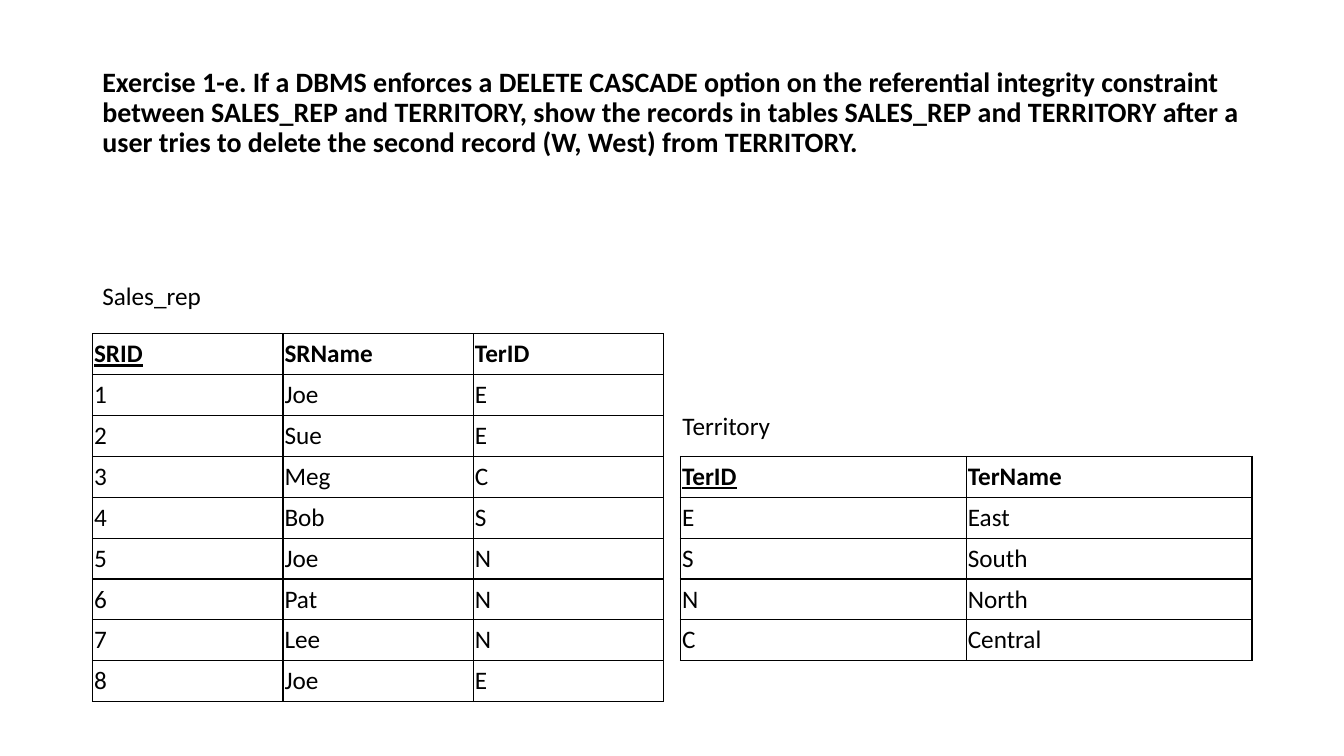
import pptx
import pptx.dml.color
import pptx.enum.text
import pptx.oxml
import pptx.oxml.ns
import pptx.util
from pptx.util import Cm

BLACK = pptx.dml.color.RGBColor(0, 0, 0)
MIDDLE = pptx.enum.text.MSO_ANCHOR.MIDDLE

QUESTION = (
    "Exercise 1-e. If a DBMS enforces a DELETE CASCADE option on the referential "
    "integrity constraint between SALES_REP and TERRITORY, show the records in tables "
    "SALES_REP and TERRITORY after a user tries to delete the second record (W, West) "
    "from TERRITORY."
)
SALES_REPS = [
    ("SRID", "SRName", "TerID"),
    ("1", "Joe", "E"),
    ("2", "Sue", "E"),
    ("3", "Meg", "C"),
    ("4", "Bob", "S"),
    ("5", "Joe", "N"),
    ("6", "Pat", "N"),
    ("7", "Lee", "N"),
    ("8", "Joe", "E"),
]
TERRITORIES = [
    ("TerID", "TerName"),
    ("E", "East"),
    ("S", "South"),
    ("N", "North"),
    ("C", "Central"),
]


class ExerciseSlide:
    font_name = "Calibri"
    body_size = 18
    title_size = 20
    table_width = Cm(14.4)
    row_height = Cm(1.03)
    cell_margin = Cm(0.04)
    border_width = pptx.util.Pt(1)

    def __init__(self, slide):
        self.slide = slide

    def style(self, paragraph, size, bold=False, underline=False):
        font = paragraph.font
        font.name = self.font_name
        font.size = pptx.util.Pt(size)
        font.bold = bold
        font.underline = underline
        font.color.rgb = BLACK

    def title(self, text, left, top, width, height):
        frame = self.slide.shapes.add_textbox(left, top, width, height).text_frame
        frame.word_wrap = True
        frame.vertical_anchor = MIDDLE
        frame.text = text
        frame.paragraphs[0].line_spacing = 0.9
        self.style(frame.paragraphs[0], self.title_size, bold=True)

    def caption(self, text, left, top, width):
        frame = self.slide.shapes.add_textbox(left, top, width, Cm(1.03)).text_frame
        frame.word_wrap = False
        frame.auto_size = pptx.enum.text.MSO_AUTO_SIZE.SHAPE_TO_FIT_TEXT
        frame.text = text
        self.style(frame.paragraphs[0], self.body_size)

    def relation(self, records, left, top):
        """Draw a table whose first row names the columns, with the key underlined."""
        table = self.slide.shapes.add_table(
            len(records), len(records[0]), left, top,
            self.table_width, self.row_height * len(records)).table
        table.first_row = table.horz_banding = False
        for row, record in enumerate(records):
            for column, value in enumerate(record):
                cell = table.cell(row, column)
                cell.text = value
                cell.vertical_anchor = MIDDLE
                cell.margin_left = cell.margin_right = self.cell_margin
                cell.margin_top = cell.margin_bottom = self.cell_margin
                self.style(cell.text_frame.paragraphs[0], self.body_size,
                           bold=row == 0, underline=row == 0 and column == 0)
                self.border(cell)
                cell.fill.background()

    def border(self, cell):
        properties = cell._tc.get_or_add_tcPr()
        for side in ("lnL", "lnR", "lnT", "lnB"):
            properties.append(pptx.oxml.parse_xml(
                f'<a:{side} {pptx.oxml.ns.nsdecls("a")} w="{self.border_width}">'
                f'<a:solidFill><a:srgbClr val="{BLACK}"/></a:solidFill></a:{side}>'))


def main():
    presentation = pptx.Presentation()
    presentation.slide_width = Cm(33.87)
    presentation.slide_height = Cm(19.05)
    exercise = ExerciseSlide(presentation.slides.add_slide(presentation.slide_layouts[6]))

    exercise.title(QUESTION, Cm(2.33), Cm(1.02), Cm(29.21), Cm(3.68))
    exercise.relation(SALES_REPS, Cm(2.33), Cm(8.41))
    exercise.relation(TERRITORIES, Cm(17.15), Cm(11.5))
    exercise.caption("Sales_rep", Cm(2.33), Cm(6.93), Cm(3.02))
    exercise.caption("Territory", Cm(16.95), Cm(10.22), Cm(2.74))

    presentation.save("out.pptx")


if __name__ == "__main__":
    main()
